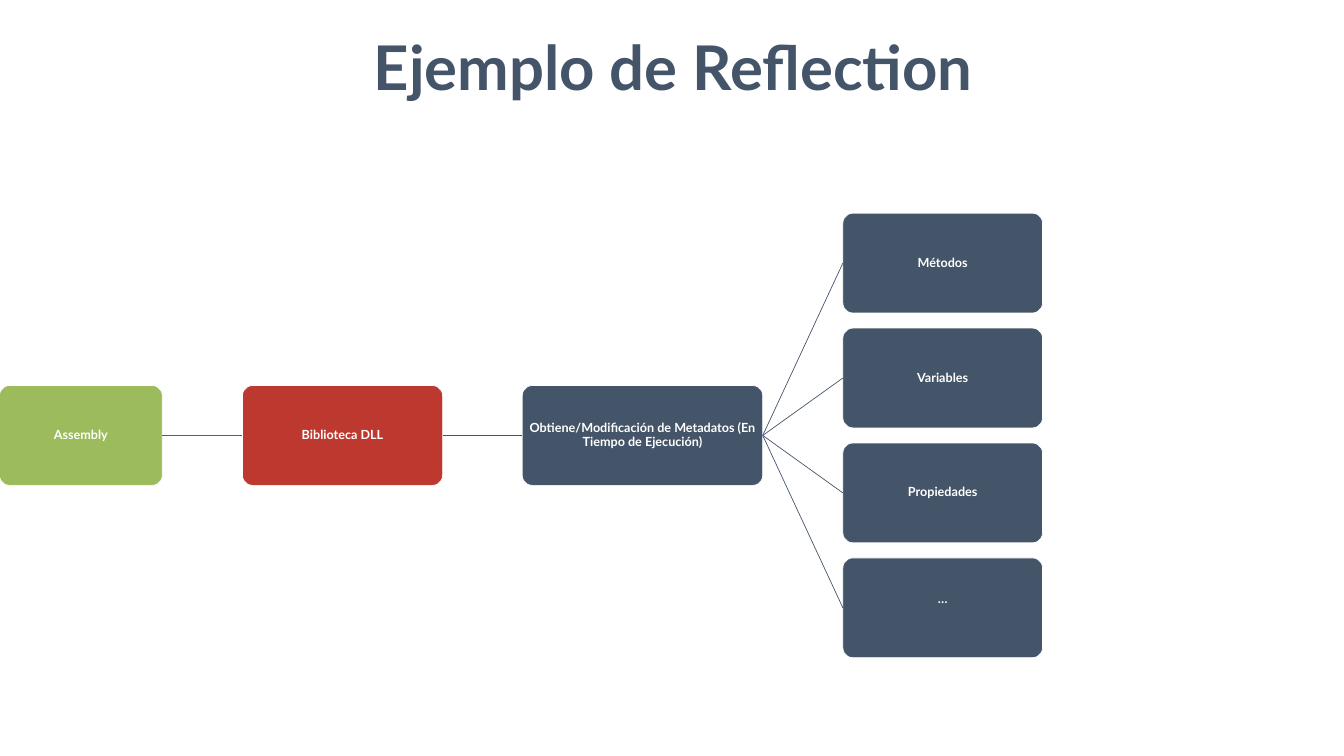
from dataclasses import dataclass

from lxml.etree import SubElement
from pptx import Presentation
from pptx.dml.color import RGBColor
from pptx.enum.shapes import MSO_CONNECTOR, MSO_SHAPE
from pptx.enum.text import MSO_ANCHOR, MSO_AUTO_SIZE, PP_ALIGN
from pptx.oxml.ns import qn
from pptx.shapes.autoshape import Shape
from pptx.slide import Slide
from pptx.text.text import TextFrame
from pptx.util import Inches, Pt

COLORS = {"slate": "445469", "green": "9BBB5C", "red": "BD392F", "white": "FFFFFF"}
FONT = "Lato"
BOX_HEIGHT = 1.98
CHAIN_TOP = 7.65
MEMBER_LEFT = 16.72
MEMBER_TOP = 4.23
MEMBER_PITCH = 2.28
MEMBER_WIDTH = 3.96
LEFT_SITE, RIGHT_SITE = 1, 3


@dataclass(frozen=True)
class Node:
    label: str
    left: float
    top: float
    width: float
    color: str = "slate"
    bottom_inset: float = 0.07


def rgb(color: str) -> RGBColor:
    return RGBColor.from_string(COLORS[color])


def write(frame: TextFrame, text: str, size: float, color: str) -> None:
    paragraph = frame.paragraphs[0]
    paragraph.alignment = PP_ALIGN.CENTER
    run = paragraph.add_run()
    run.text = text
    run.font.name = FONT
    run.font.size = Pt(size)
    run.font.bold = True
    run.font.color.rgb = rgb(color)


def draw_node(slide: Slide, node: Node) -> Shape:
    box = slide.shapes.add_shape(
        MSO_SHAPE.ROUNDED_RECTANGLE,
        Inches(node.left), Inches(node.top), Inches(node.width), Inches(BOX_HEIGHT),
    )
    box.adjustments[0] = 0.1
    box.shadow.inherit = False
    box.fill.solid()
    box.fill.fore_color.rgb = rgb(node.color)
    box.line.color.rgb = rgb("white")
    box.line.width = Pt(1)
    frame = box.text_frame
    frame.word_wrap = True
    frame.vertical_anchor = MSO_ANCHOR.MIDDLE
    frame.margin_left = frame.margin_right = frame.margin_top = Inches(0.07)
    frame.margin_bottom = Inches(node.bottom_inset)
    frame.paragraphs[0].line_spacing = 0.9
    write(frame, node.label, 18, "white")
    return box


def link(slide: Slide, parent: Shape, child: Shape, color: str) -> None:
    branch = slide.shapes.add_connector(MSO_CONNECTOR.STRAIGHT, 0, 0, 0, 0)
    branch.begin_connect(parent, RIGHT_SITE)
    branch.end_connect(child, LEFT_SITE)
    branch.line.color.rgb = rgb(color)
    branch.line.width = Pt(1)
    SubElement(branch.element.spPr, qn("a:effectLst"))


def draw_title(slide: Slide, text: str) -> None:
    title = slide.shapes.title
    title.left, title.top = Inches(0.26), Inches(0.53)
    title.width, title.height = Inches(26.19), Inches(1.58)
    frame = title.text_frame
    frame.auto_size = MSO_AUTO_SIZE.NONE
    frame.vertical_anchor = MSO_ANCHOR.TOP
    write(frame, text, 88, "slate")


def main() -> None:
    presentation = Presentation()
    presentation.slide_width = Inches(26.66)
    presentation.slide_height = Inches(15)
    slide = presentation.slides.add_slide(presentation.slide_layouts[5])
    draw_title(slide, "Ejemplo de Reflection")

    chain = [
        Node("Assembly", -0.01, CHAIN_TOP, 3.23, "green"),
        Node("Biblioteca DLL", 4.81, CHAIN_TOP, 3.97, "red"),
        Node("Obtiene/Modificación de Metadatos (En Tiempo de Ejecución)",
             10.36, CHAIN_TOP, 4.77),
    ]
    member_insets = {"Métodos": 0.07, "Variables": 0.07, "Propiedades": 0.07, "…": 0.4}
    members = [
        Node(label, MEMBER_LEFT, MEMBER_TOP + row * MEMBER_PITCH, MEMBER_WIDTH,
             bottom_inset=inset)
        for row, (label, inset) in enumerate(member_insets.items())
    ]

    assembly, library, metadata = [draw_node(slide, node) for node in chain]
    link(slide, assembly, library, "red")
    link(slide, library, metadata, "slate")
    for member in members:
        link(slide, metadata, draw_node(slide, member), "slate")

    presentation.save("out.pptx")


main()
